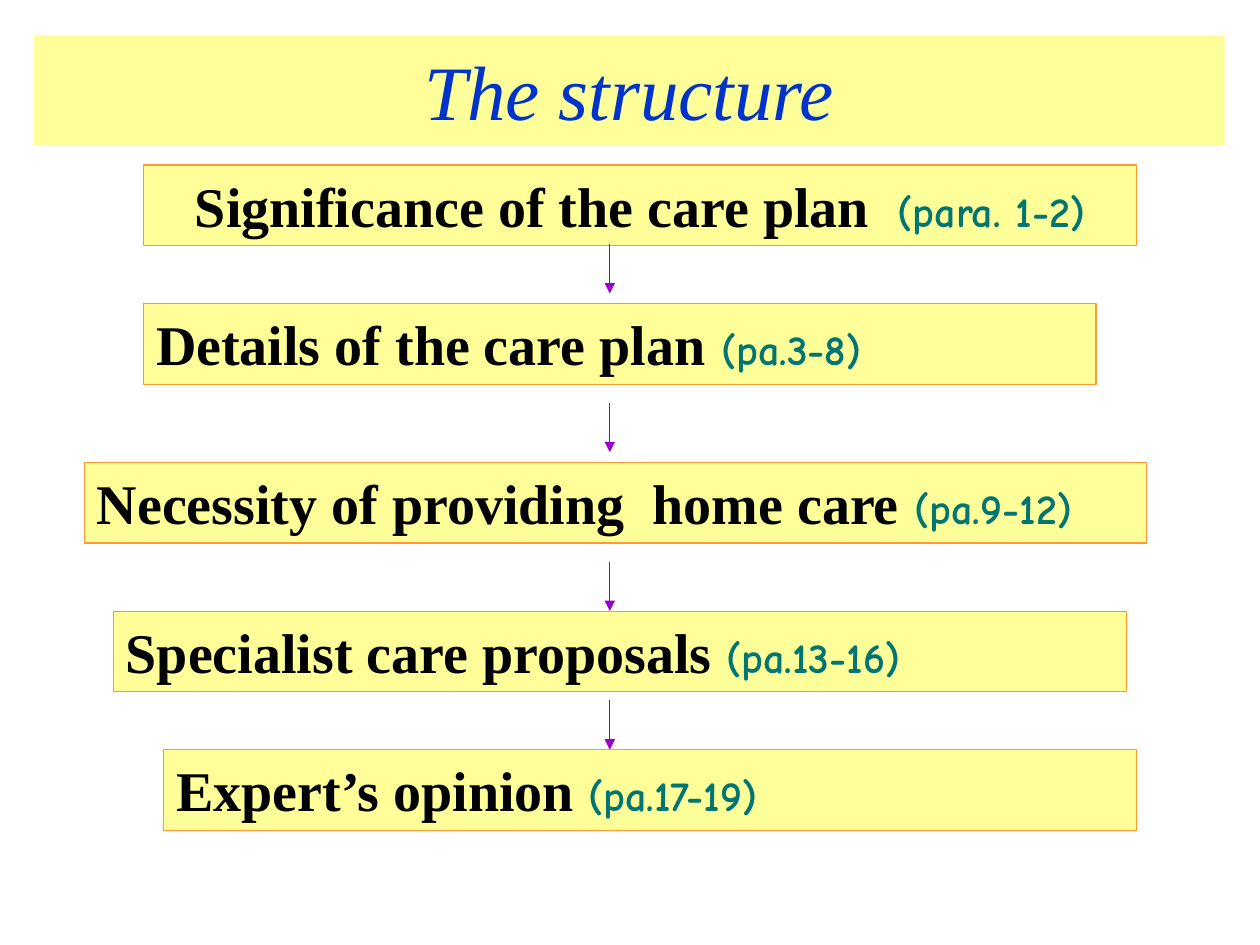
from dataclasses import dataclass

from lxml import etree
from pptx import Presentation
from pptx import util as u
from pptx.dml.color import RGBColor
from pptx.enum import shapes, text
from pptx.oxml import ns


@dataclass(frozen=True)
class Theme:
    panel: str = "FFFF99"
    border: str = "FF9933"
    arrow: str = "9900CC"
    title: str = "0033CC"
    heading: str = "000000"
    reference: str = "007572"
    serif: str = "Times New Roman"
    casual: str = "Comic Neue"
    title_size: int = 44
    heading_size: int = 32
    reference_size: int = 24
    line_width: float = 0.75


THEME = Theme()
WIDTH, HEIGHT = u.Inches(10), u.Inches(7.5)

# All lengths are percentages of the slide's width or height
TITLE_AREA = (2.7, 3.73, 94.5, 11.6)
BOX_HEIGHT = 8.53
ARROW_X, ARROW_LENGTH = 48.4, 5.2
ARROW_TOPS = (25.87, 42.67, 59.47, 74.13)

# Heading, paragraph reference, left, top, width, alignment
SECTIONS = (
    ("Significance of the care plan  ", "(para. 1-2)", 11.4, 17.47, 78.8, text.PP_ALIGN.CENTER),
    ("Details of the care plan", " (pa.3-8)", 11.4, 32.13, 75.6, text.PP_ALIGN.LEFT),
    ("Necessity of providing  home care", " (pa.9-12)", 6.7, 48.93, 84.3, text.PP_ALIGN.LEFT),
    ("Specialist care proposals ", "(pa.13-16)", 9, 64.67, 80.4, text.PP_ALIGN.LEFT),
    ("Expert’s opinion ", "(pa.17-19)", 13, 79.33, 77.2, text.PP_ALIGN.LEFT),
)


def across(share):
    return round(WIDTH * share / 100)


def down(share):
    return round(HEIGHT * share / 100)


def apply(target, **values):
    for name, value in values.items():
        setattr(target, name, value)


def fill_panel(shape):
    shape.fill.solid()
    shape.fill.fore_color.rgb = RGBColor.from_string(THEME.panel)


def set_line(line, color):
    line.color.rgb = RGBColor.from_string(color)
    line.width = u.Pt(THEME.line_width)


def set_frame(frame, anchor):
    apply(frame, word_wrap=True, vertical_anchor=anchor,
          auto_size=text.MSO_AUTO_SIZE.NONE,
          margin_left=u.Inches(0.1), margin_right=u.Inches(0.1),
          margin_top=u.Inches(0.05), margin_bottom=u.Inches(0.05))


def add_run(paragraph, words, color, **font_values):
    run = paragraph.add_run()
    run.text = words
    apply(run.font, **font_values)
    run.font.color.rgb = RGBColor.from_string(color)


def add_title(slide, words):
    title = slide.shapes.title
    left, top, width, height = TITLE_AREA
    apply(title, left=across(left), top=down(top), width=across(width), height=down(height))
    fill_panel(title)
    set_frame(title.text_frame, text.MSO_ANCHOR.MIDDLE)
    paragraph = title.text_frame.paragraphs[0]
    paragraph.alignment = text.PP_ALIGN.CENTER
    add_run(paragraph, words, THEME.title, name=THEME.serif,
            size=u.Pt(THEME.title_size), italic=True)


def add_section(slide, heading, reference, left, top, width, alignment):
    box = slide.shapes.add_shape(shapes.MSO_SHAPE.RECTANGLE, across(left), down(top),
                                 across(width), down(BOX_HEIGHT))
    box.shadow.inherit = False
    fill_panel(box)
    set_line(box.line, THEME.border)
    set_frame(box.text_frame, text.MSO_ANCHOR.TOP)
    paragraph = box.text_frame.paragraphs[0]
    paragraph.alignment = alignment
    add_run(paragraph, heading, THEME.heading, name=THEME.serif,
            size=u.Pt(THEME.heading_size), bold=True)
    add_run(paragraph, reference, THEME.reference, name=THEME.casual,
            size=u.Pt(THEME.reference_size), bold=True)


def add_arrow(slide, top):
    arrow = slide.shapes.add_connector(shapes.MSO_CONNECTOR.STRAIGHT, across(ARROW_X), down(top),
                                       across(ARROW_X), down(top + ARROW_LENGTH))
    set_line(arrow.line, THEME.arrow)
    # Arrowhead, and no theme shadow
    etree.SubElement(arrow.line._get_or_add_ln(), ns.qn("a:tailEnd"), type="triangle")
    etree.SubElement(arrow._element.spPr, ns.qn("a:effectLst"))


def main():
    presentation = Presentation()
    apply(presentation, slide_width=WIDTH, slide_height=HEIGHT)
    slide = presentation.slides.add_slide(presentation.slide_layouts.get_by_name("Title Only"))
    add_title(slide, "The structure")
    # Chain of sections, linked from top to bottom
    for section in SECTIONS:
        add_section(slide, *section)
    for top in ARROW_TOPS:
        add_arrow(slide, top)
    presentation.save("out.pptx")


if __name__ == "__main__":
    main()
